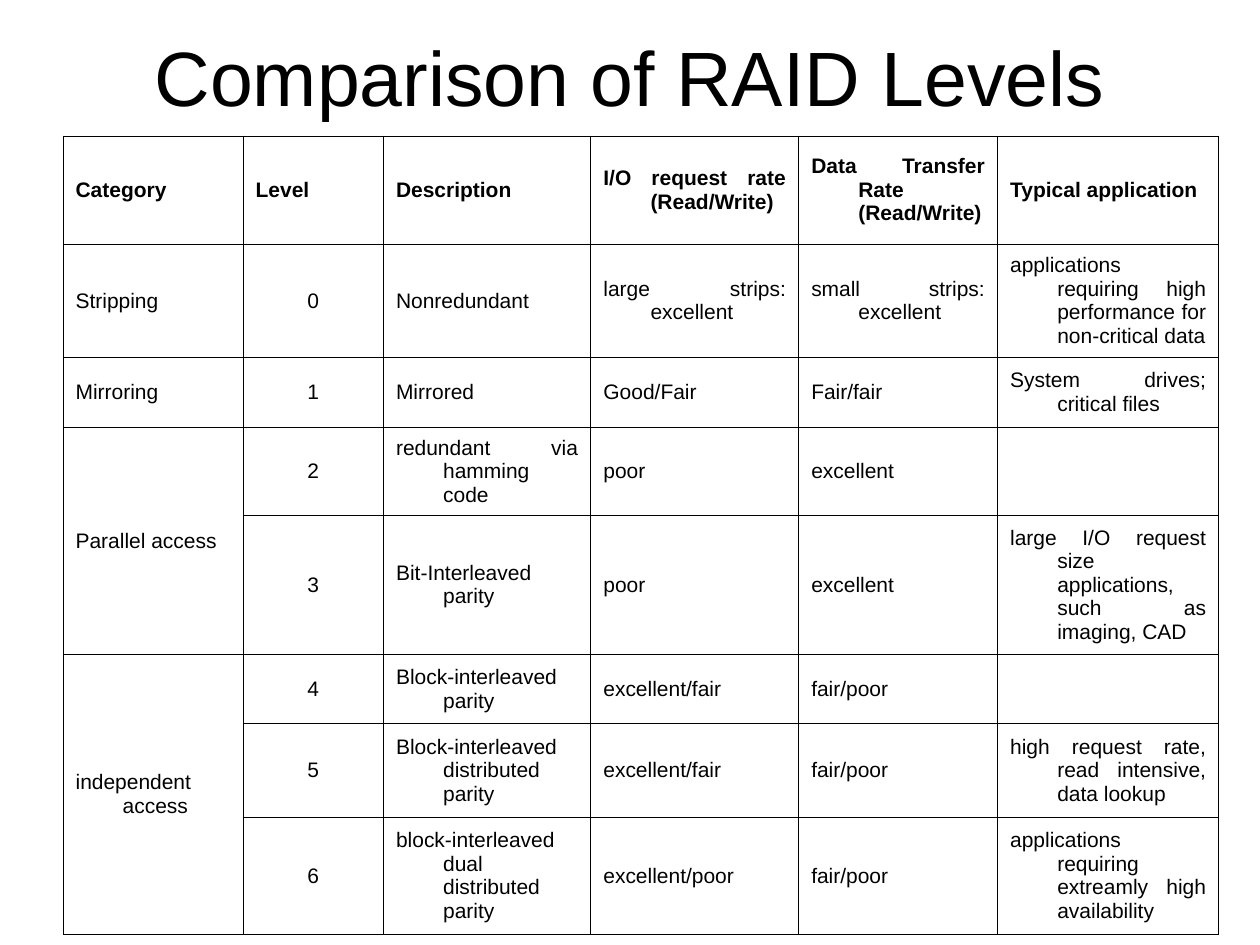
from lxml.etree import SubElement
from pptx import Presentation
from pptx.dml.color import RGBColor
from pptx.enum.text import MSO_ANCHOR as Anchor, PP_ALIGN as Align
from pptx.oxml.ns import qn
from pptx.util import Cm, Pt

TITLE = "Comparison of RAID Levels"
HEADERS = ["Category", "Level", "Description", "I/O request rate (Read/Write)",
           "Data Transfer Rate (Read/Write)", "Typical application"]
# Each category with its levels: (level, description, I/O rate, transfer rate, application)
CATEGORIES = [
    ("Stripping", [
        ("0", "Nonredundant", "large strips: excellent", "small strips: excellent",
         "applications requiring high performance for non-critical data"),
    ]),
    ("Mirroring", [
        ("1", "Mirrored", "Good/Fair", "Fair/fair", "System drives; critical files"),
    ]),
    ("Parallel access", [
        ("2", "redundant via hamming code", "poor", "excellent", ""),
        ("3", "Bit-Interleaved parity", "poor", "excellent",
         "large I/O request size applications, such as imaging, CAD"),
    ]),
    ("independent access", [
        ("4", "Block-interleaved parity", "excellent/fair", "fair/poor", ""),
        ("5", "Block-interleaved distributed parity", "excellent/fair", "fair/poor",
         "high request rate, read intensive, data lookup"),
        ("6", "block-interleaved dual distributed parity", "excellent/poor", "fair/poor",
         "applications requiring extreamly high availability"),
    ]),
]
COLUMN_WIDTHS = [3.63, 2.83, 4.18, 4.19, 4.01, 4.46]
ROW_HEIGHTS = [2.18, 2.29, 1.4, 1.78, 2.8, 1.4, 1.89, 2.36]
LEVEL_COLUMN = 1
HANGING_INDENT = Cm(0.95)
COLORS = {"text": "000000", "border": "000000"}
FONT = "Arial"


def style_font(font, size, bold=False):
    font.name = FONT
    font.size = Pt(size)
    font.bold = bold
    font.color.rgb = RGBColor.from_string(COLORS["text"])


def format_cell(cell):
    """Give the cell thin borders on all sides and no fill."""
    properties = cell._tc.get_or_add_tcPr()
    for side in ("a:lnL", "a:lnR", "a:lnT", "a:lnB"):
        line = SubElement(properties, qn(side), w=str(Pt(0.45)))
        fill = SubElement(line, qn("a:solidFill"))
        SubElement(fill, qn("a:srgbClr"), val=COLORS["border"])
    cell.fill.background()
    cell.vertical_anchor = Anchor.MIDDLE


def write_cell(cell, text, bold=False, align=Align.JUSTIFY):
    cell.text_frame.text = text
    para = cell.text_frame.paragraphs[0]
    para.alignment = align
    indents = para._p.get_or_add_pPr()
    indents.set("marL", str(HANGING_INDENT))
    indents.set("indent", str(-HANGING_INDENT))
    style_font(para.font, 12, bold)
    for span in para.runs:
        style_font(span.font, 12, bold)


def add_title(page):
    box = page.shapes.add_textbox(Cm(1.27), Cm(0.43), Cm(22.86), Cm(2.21))
    frame = box.text_frame
    frame.word_wrap = True
    frame.vertical_anchor = Anchor.MIDDLE
    frame.text = TITLE
    para = frame.paragraphs[0]
    para.alignment = Align.CENTER
    style_font(para.runs[0].font, 44)


def add_comparison(page):
    table = page.shapes.add_table(
        len(ROW_HEIGHTS), len(COLUMN_WIDTHS), Cm(1.27), Cm(2.74),
        Cm(sum(COLUMN_WIDTHS)), Cm(sum(ROW_HEIGHTS))).table
    table.first_row = table.horz_banding = False
    for column, width in zip(table.columns, COLUMN_WIDTHS):
        column.width = Cm(width)
    for row, height in zip(table.rows, ROW_HEIGHTS):
        row.height = Cm(height)
    for cell in table.iter_cells():
        format_cell(cell)

    for column, header in enumerate(HEADERS):
        write_cell(table.cell(0, column), header, bold=True)
    row = 1
    for category, levels in CATEGORIES:
        category_cell = table.cell(row, 0)
        if len(levels) > 1:
            category_cell.merge(table.cell(row + len(levels) - 1, 0))
        write_cell(category_cell, category)
        for level in levels:
            for column, text in enumerate(level, start=LEVEL_COLUMN):
                align = Align.CENTER if column == LEVEL_COLUMN else Align.JUSTIFY
                write_cell(table.cell(row, column), text, align=align)
            row += 1


def main():
    deck = Presentation()
    deck.slide_width, deck.slide_height = Cm(25.4), Cm(19.05)
    page = deck.slides.add_slide(deck.slide_layouts[6])
    add_title(page)
    add_comparison(page)
    deck.save("out.pptx")


if __name__ == "__main__":
    main()
